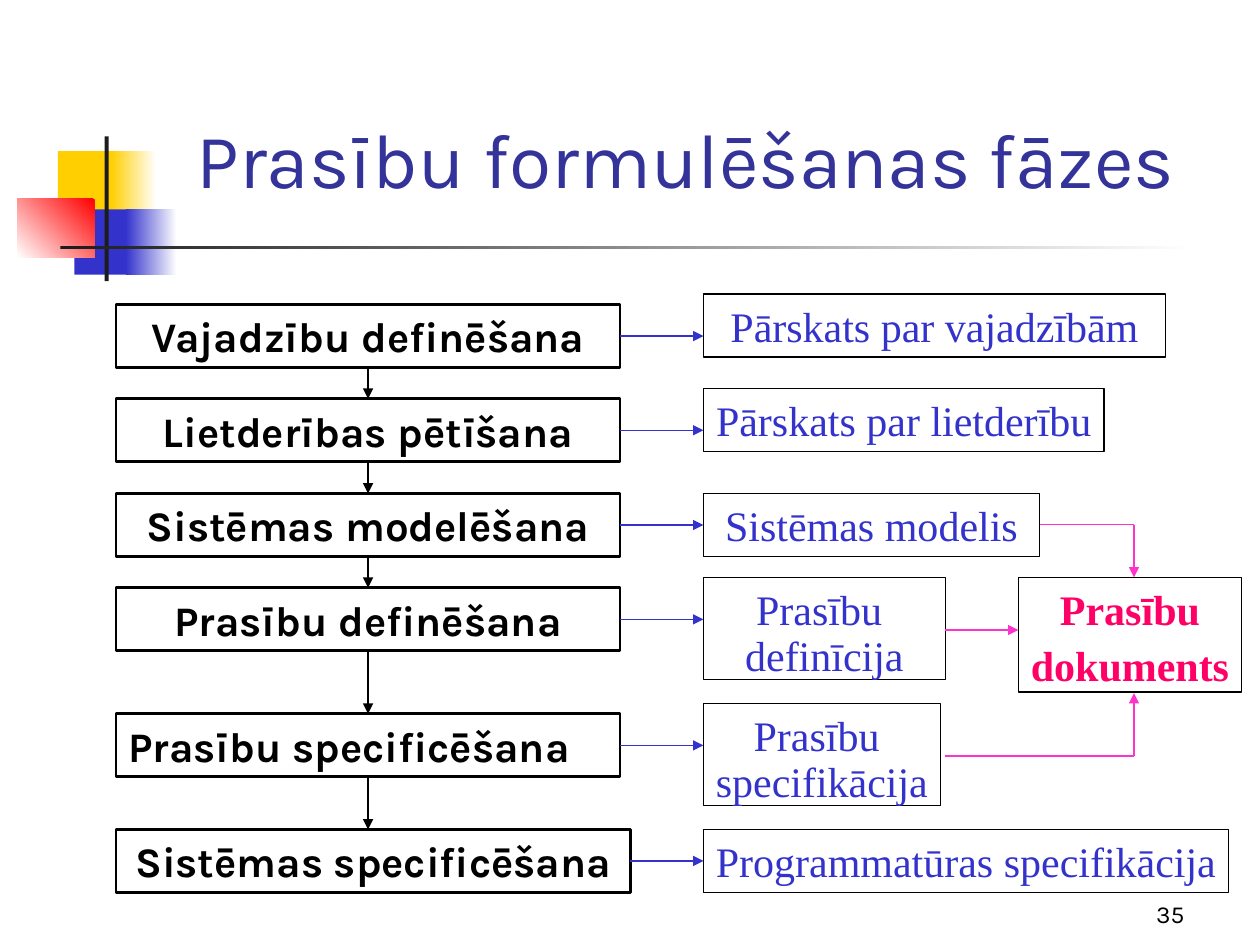
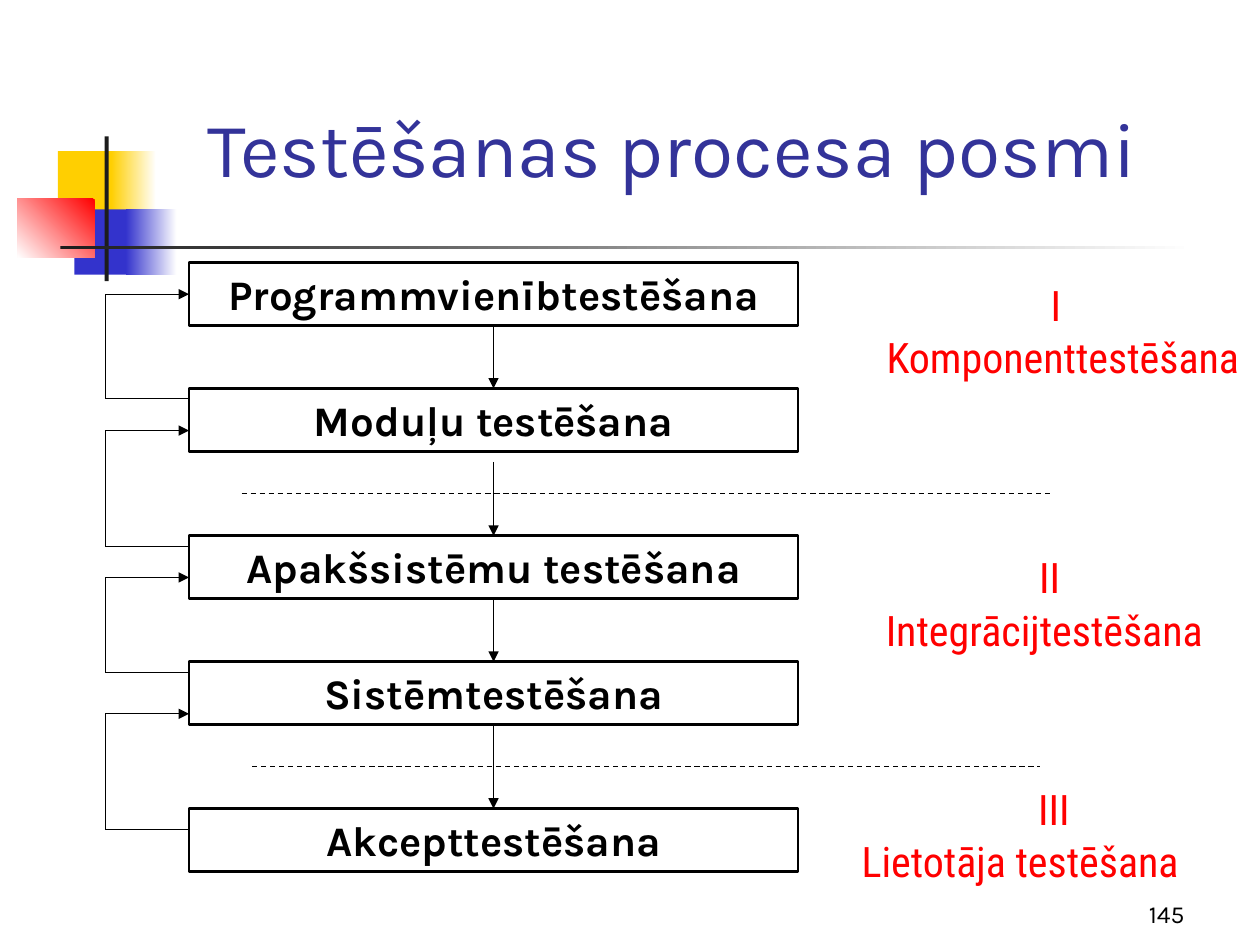
from itertools import pairwise

from lxml.etree import SubElement
from pptx import Presentation
from pptx.dml.color import RGBColor
from pptx.enum.dml import MSO_LINE
from pptx.enum.shapes import MSO_CONNECTOR, MSO_SHAPE
from pptx.enum.text import MSO_ANCHOR, PP_ALIGN
from pptx.oxml.ns import qn
from pptx.util import Cm, Pt


class Theme:
    black, dark, white = "000000", "1C1C1C", "FFFFFF"
    yellow, blue, red, pink = "FFCF01", "3333CC", "FF0000", "FF33CC"
    thin, thick = 0.75, 1.5
    # Text styles: font, size, bold, colour
    title = ("Karla", 44, False, "333399")
    step = ("Karla", 24, True, black)
    output = ("Times New Roman", 24, False, blue)
    document = ("Times New Roman", 24, True, "FF0066")
    stage = ("Roboto Condensed", 24, False, red)
    number = ("Karla", 14, False, black)


def add_text(s, rect, text, style, align=PP_ALIGN.CENTER, outline=0,
             anchor=MSO_ANCHOR.TOP, leading=26):
    """Add text, framed if outline is set; leading applies from line two on."""
    rect = [Cm(v) for v in rect]
    if outline:
        sp = s.shapes.add_shape(MSO_SHAPE.RECTANGLE, *rect)
        sp.shadow.inherit = False
        sp.fill.background()
        sp.line.color.rgb = RGBColor.from_string(Theme.black)
        sp.line.width = Pt(outline)
    else:
        sp = s.shapes.add_textbox(*rect)
    tf = sp.text_frame
    tf.word_wrap = True
    tf.vertical_anchor = anchor
    tf.margin_left = tf.margin_right = Cm(0.1 if align == PP_ALIGN.CENTER else 0.25)
    tf.text = text
    name, size, bold, color = style
    for i, p in enumerate(tf.paragraphs):
        p.alignment = align
        if i:
            p.line_spacing = Pt(leading)
        p.font.name = name
        p.font.size = Pt(size)
        p.font.bold = bold
        p.font.color.rgb = RGBColor.from_string(color)


def add_line(s, points, color=Theme.black, arrow=True, dash=False):
    """Join the points with straight lines; the last one may end in an arrow."""
    for i, (start, end) in enumerate(pairwise(points), 2):
        ends = [Cm(v) for v in (*start, *end)]
        c = s.shapes.add_connector(MSO_CONNECTOR.STRAIGHT, *ends)
        c.line.color.rgb = RGBColor.from_string(color)
        c.line.width = Pt(Theme.thin)
        if dash:
            c.line.dash_style = MSO_LINE.DASH
        if arrow and i == len(points):
            SubElement(c.line._get_or_add_ln(), qn("a:tailEnd"), type="triangle")
        SubElement(c._element.spPr, qn("a:effectLst"))


prs = Presentation()
prs.slide_width, prs.slide_height = Cm(25.4), Cm(19.05)

# Shared decoration: left, top, width, height, colour, angle of fade to white
decoration = [
    (1.17, 3.05, 1.22, 1.32, Theme.yellow, None),
    (2.24, 3.05, 0.91, 1.32, Theme.yellow, 0),
    (1.5, 4.22, 1.17, 1.32, Theme.blue, None),
    (2.54, 4.22, 1.02, 1.32, Theme.blue, 0),
    (0.35, 4.01, 1.56, 1.18, Theme.red, 225),
    (2.11, 2.75, 0.08, 2.92, Theme.dark, None),
    (1.22, 4.95, 22.86, 0.08, Theme.dark, 0),
]
headings = [
    ("Prasību formulēšanas fāzes ", (3.2, 1.73, 21.64, 2.51), "35"),
    ("Testēšanas procesa posmi", (2.74, 0.84, 21.64, 3.18), "145"),
]
for title, title_rect, number in headings:
    s = prs.slides.add_slide(prs.slide_layouts[6])
    for *rect, color, angle in decoration:
        sp = s.shapes.add_shape(MSO_SHAPE.RECTANGLE, *[Cm(v) for v in rect])
        sp.shadow.inherit = False
        sp.line.fill.background()
        if angle is None:
            sp.fill.solid()
            sp.fill.fore_color.rgb = RGBColor.from_string(color)
        else:
            sp.fill.gradient()
            sp.fill.gradient_angle = angle
            for stop, shade in zip(sp.fill.gradient_stops, (color, Theme.white)):
                stop.color.rgb = RGBColor.from_string(shade)
    add_text(s, title_rect, title, Theme.title, anchor=MSO_ANCHOR.BOTTOM)
    add_text(s, (18.84, 17.58, 5.29, 1.27), number, Theme.number,
             PP_ALIGN.RIGHT, anchor=MSO_ANCHOR.BOTTOM)

phases_slide, testing_slide = prs.slides
box_h = 1.27

# Slide 1: each phase and the document it yields
s = phases_slide
phase_x, phase_mid, output_x = 2.34, 7.42, 14.18
phases = [
    # top, width, phase, output top, width, height, output
    (6.14, 10.16, "Vajadzību definēšana", 5.93, 9.32, box_h, "Pārskats par vajadzībām"),
    (8.04, 10.16, "Lietderības pētīšana", 7.83, 8.08, box_h, "Pārskats par lietderību"),
    (9.95, 10.16, "Sistēmas modelēšana", 9.95, 6.78, box_h, "Sistēmas modelis"),
    (11.85, 10.16, "Prasību definēšana", 11.64, 4.88, 2.06, "Prasību \ndefinīcija"),
    (14.39, 10.16, "Prasību specificēšana", 14.18, 4.78, 2.06, "Prasību \nspecifikācija"),
    (16.72, 10.37, "Sistēmas specificēšana", 16.72, 10.59, box_h,
     "Programmatūras specifikācija"),
]
for top, width, phase, out_top, out_w, out_h, output in phases:
    align = PP_ALIGN.LEFT if phase == "Prasību specificēšana" else PP_ALIGN.CENTER
    add_text(s, (phase_x, top, width, box_h), phase, Theme.step, align, Theme.thick)
    add_text(s, (output_x, out_top, out_w, out_h), output, Theme.output,
             outline=Theme.thin)
    mid = top + box_h / 2
    add_line(s, [(phase_x + width, mid), (output_x, mid)], Theme.blue)
for upper, lower in pairwise(phases):
    add_line(s, [(phase_mid, upper[0] + box_h), (phase_mid, lower[0])])

add_text(s, (20.53, 11.64, 4.5, 2.31), "Prasību\ndokuments", Theme.document,
         outline=Theme.thin, leading=32)
for route in (
    [(20.96, 10.58), (22.86, 10.58), (22.86, 11.64)],
    [(19.05, 15.24), (22.86, 15.24), (22.86, 13.97)],
    [(19.05, 12.7), (20.53, 12.7)],
):
    add_line(s, route, Theme.pink)

# Slide 2: test steps, their feedback loops and three stages
s = testing_slide
step_x, step_w, loop_x = 3.81, 12.28, 2.12
step_mid = step_x + step_w / 2
steps = [
    (5.29, "Programmvienībtestēšana"),
    (7.83, "Moduļu testēšana"),
    (10.8, "Apakšsistēmu testēšana"),
    (13.34, "Sistēmtestēšana"),
    (16.3, "Akcepttestēšana"),
]
for top, step in steps:
    add_text(s, (step_x, top, step_w, box_h), step, Theme.step, outline=Theme.thick)
for start, end in ((6.56, 7.83), (9.31, 10.8), (12.07, 13.34), (14.61, 16.3)):
    add_line(s, [(step_mid, start), (step_mid, end)])
for start, end in ((8.04, 5.93), (11.01, 8.68), (13.55, 11.64), (16.72, 14.39)):
    add_line(s, [(step_x, start), (loop_x, start), (loop_x, end), (step_x, end)])
for left, right, y in ((4.87, 21.17, 9.95), (5.08, 20.96, 15.45)):
    add_line(s, [(left, y), (right, y)], arrow=False, dash=True)

stages = [
    ("I", 20.93, 5.5, "Komponenttestēšana", 16.93, 6.56, 9, PP_ALIGN.CENTER),
    ("II", 20.7, 11, "Integrācijtestēšana", 16.71, 12.07, 8.69, PP_ALIGN.CENTER),
    ("III", 20.68, 15.66, "Lietotāja testēšana", 17.12, 16.72, 8.23, PP_ALIGN.LEFT),
]
for numeral, num_x, num_y, stage, x, y, width, align in stages:
    add_text(s, (x, y, width, box_h), stage, Theme.stage, align)
    add_text(s, (num_x, num_y, 1.4, box_h), numeral, Theme.stage, PP_ALIGN.LEFT)

prs.save("out.pptx")
